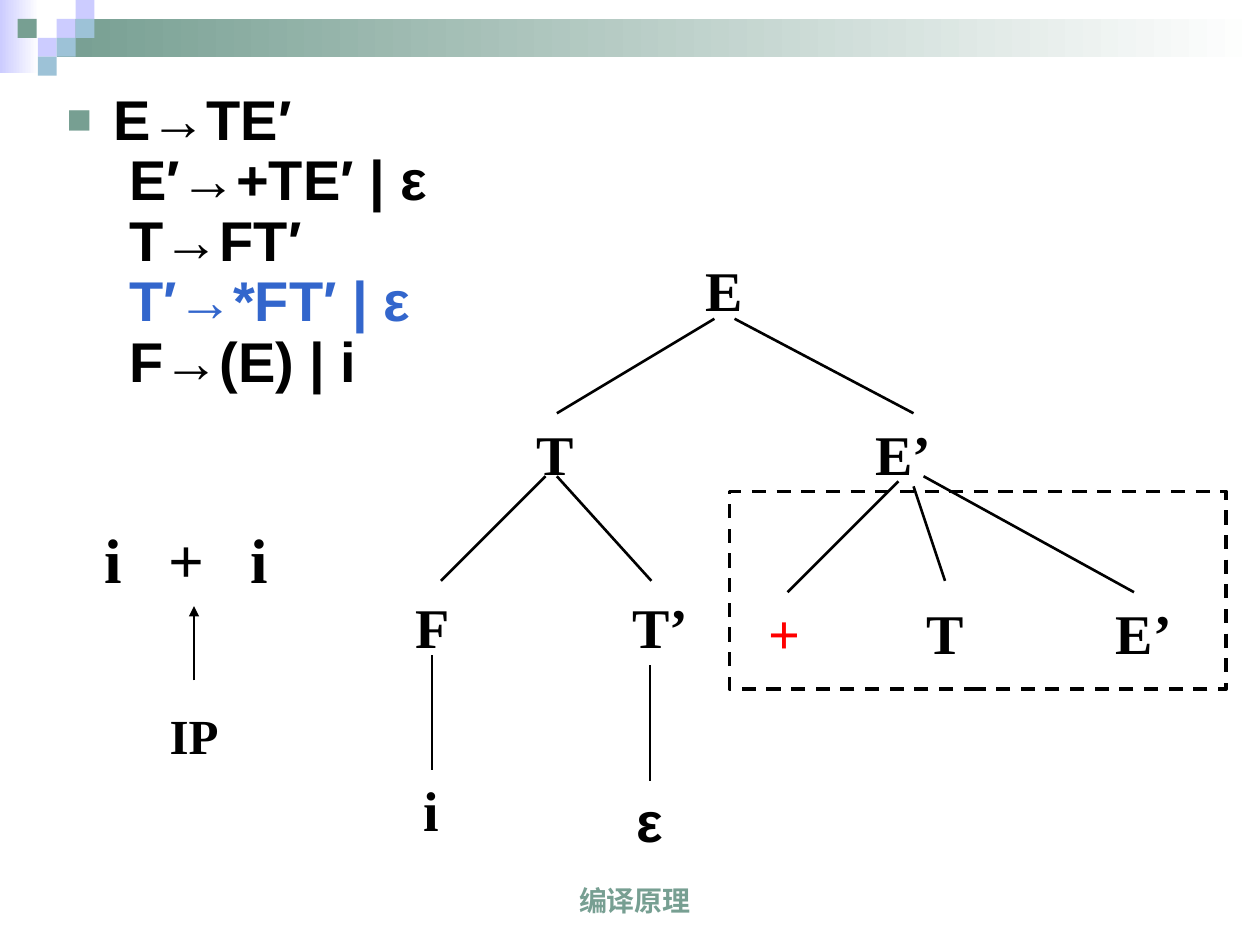
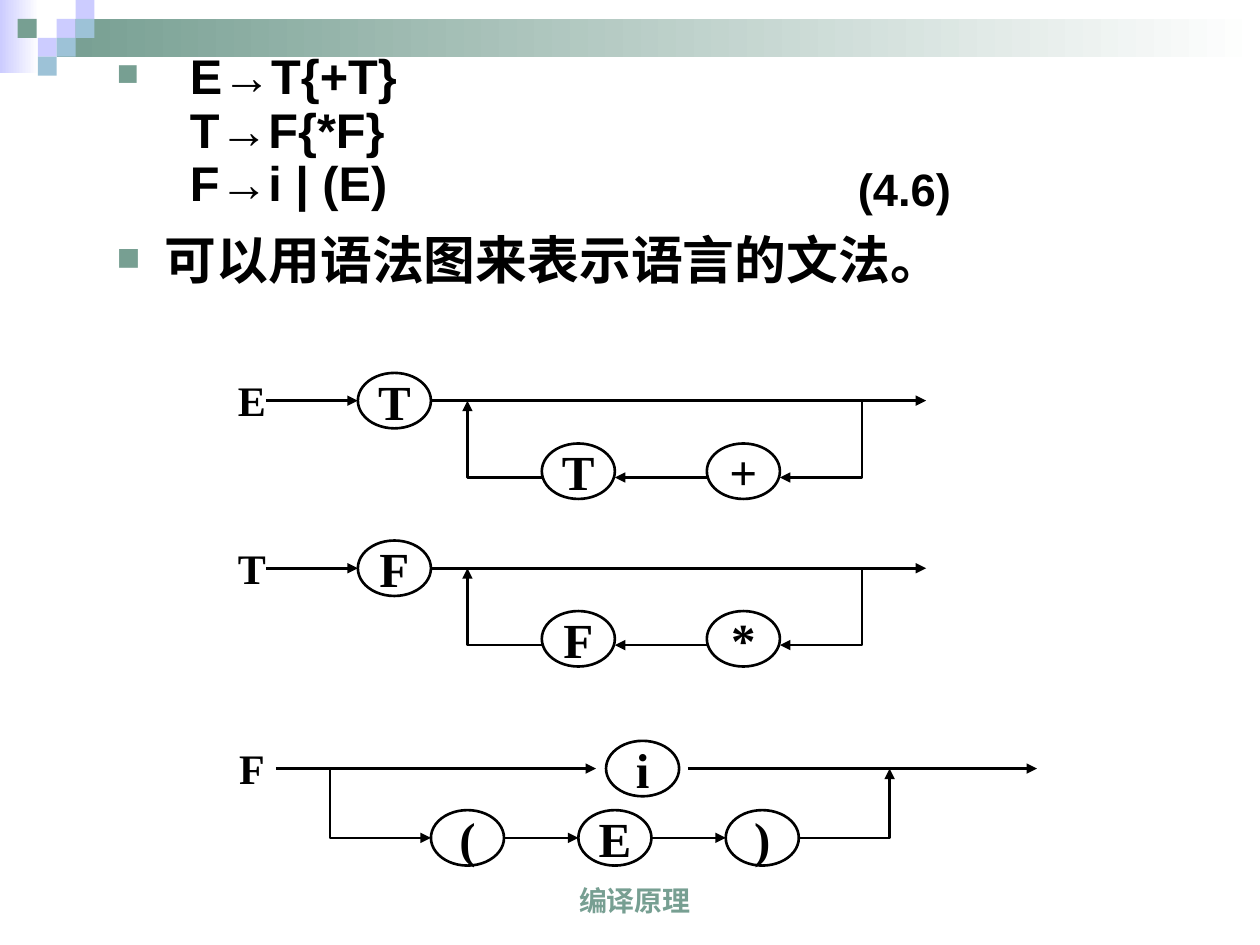
from dataclasses import dataclass

from lxml.etree import SubElement
from pptx import Presentation
from pptx.dml.color import RGBColor
from pptx.enum.dml import MSO_LINE
from pptx.enum.shapes import MSO_CONNECTOR, MSO_SHAPE
from pptx.enum.text import MSO_ANCHOR, PP_ALIGN
from pptx.oxml.ns import qn
from pptx.util import Inches, Pt


@dataclass(frozen=True)
class Theme:
    black: str = "000000"
    white: str = "FFFFFF"
    green: str = "779F92"
    lilac: str = "CCCCFF"
    sky: str = "9DC2D7"
    blue: str = "3366CC"
    red: str = "FF0000"
    sans: str = "Arial"
    serif: str = "Times New Roman"
    footer_size: float = 16
    label_size: float = 24
    symbol_size: float = 28
    node_size: float = 32
    input_size: float = 36
    rule_size: float = 27.8
    number_size: float = 25.9
    remark_size: float = 29.6
    line: float = 1.5
    frame_line: float = 2


THEME = Theme()

FOOTER = "编译原理"
BANDS = [((0, 0, 0.31, 0.58), THEME.lilac), ((0.45, 0.15, 9.55, 0.3), THEME.green)]
TILE = 0.15
TILES = [  # left, top, colour
    (0.45, 0.15, THEME.lilac), (0.6, 0, THEME.lilac), (0.6, 0.15, THEME.sky),
    (0.3, 0.3, THEME.lilac), (0.14, 0.15, THEME.green),
    (0.45, 0.3, THEME.sky), (0.3, 0.45, THEME.sky),
]

GRAMMAR = [  # text, format
    ("E→TE′", dict(bullet=True, margin=0.37, indent=-0.37)),
    ("E′→+TE′ | ε", {}),
    ("T→FT′", {}),
    ("T′→*FT′ | ε", dict(color=THEME.blue)),
    ("F→(E) | i", {}),
]
INPUT_TOKENS = ["i", "+", "i"]
INPUT_X, INPUT_STEP = 0.9, 0.58
TREE_NODES = [  # text, centre x, top, format
    ("E", 5.75, 1.98, {}),
    ("T", 4.41, 3.28, {}),
    ("E’", 7.17, 3.28, {}),
    ("F", 3.43, 4.65, {}),
    ("T’", 5.24, 4.65, {}),
    ("i", 3.42, 6.11, {}),
    ("ε", 5.16, 6.19, dict(font=THEME.sans)),
    ("+", 6.23, 4.7, dict(color=THEME.red)),
    ("T", 7.5, 4.7, {}),
    ("E’", 9.08, 4.7, {}),
]
TREE_EDGES = [
    [(5.67, 2.53), (4.42, 3.28)], [(5.83, 2.53), (7.25, 3.28)],
    [(4.33, 3.78), (3.5, 4.61)], [(4.42, 3.78), (5.17, 4.61)],
    [(3.43, 5.2), (3.43, 6.11)], [(5.16, 5.28), (5.16, 6.2)],
    [(7.13, 3.82), (6.25, 4.7)], [(7.25, 3.86), (7.5, 4.61)],
    [(7.33, 3.78), (9, 4.7)],
]
EXPANSION_FRAME = (5.79, 3.9, 3.94, 1.57)

EBNF = [  # text, format
    ("E→T{+T}", dict(bullet=True, margin=0.58, indent=-0.58)),
    ("T→F{*F}", dict(margin=0.58, before=7.5)),
    ("F→i | (E)", dict(margin=0.58, before=7)),
    ("可以用语法图来表示语言的文法。",
     dict(size=THEME.remark_size, bullet=True, margin=0.38, indent=-0.38, before=20)),
]
EQUATION_NUMBER = "(4.6)"
LOOPS = [("E", "T", "+", 3.18), ("T", "F", "*", 4.51)]  # name, operand, operator, y
CHOICE_Y = 6.1
BRACKETED = ["(", "E", ")"]
OVAL_WIDTH, OVAL_HEIGHT = 0.58, 0.44
LABEL_X, LABEL_WIDTH = 2, 1


def rgb(color):
    return RGBColor.from_string(color)


def write(para, text, font=THEME.serif, size=THEME.node_size, color=THEME.black,
          align=PP_ALIGN.LEFT, spacing=None, before=0, margin=0, indent=0, bullet=False):
    props = para._p.get_or_add_pPr()
    props.set("marL", str(Inches(margin)))
    props.set("indent", str(Inches(indent)))
    if bullet:
        SubElement(SubElement(props, qn("a:buClr")), qn("a:srgbClr"), val=THEME.green)
        SubElement(props, qn("a:buSzPct"), val="75000")
        SubElement(props, qn("a:buFont"), typeface=THEME.sans)
        SubElement(props, qn("a:buChar"), char="■")
    else:
        SubElement(props, qn("a:buNone"))
    para.alignment = align
    if spacing:
        para.line_spacing = spacing
    if before:
        para.space_before = Pt(before)
    span = para.add_run()
    span.text = text
    span.font.name, span.font.size, span.font.bold = font, Pt(size), True
    span.font.color.rgb = rgb(color)


def add_text(page, area, paragraphs, wrap=True, anchor=MSO_ANCHOR.TOP, **shared):
    """Add a text box; each paragraph is (text, format) on top of the shared format."""
    box = page.shapes.add_textbox(*map(Inches, area))
    frame = box.text_frame
    frame.word_wrap, frame.vertical_anchor = wrap, anchor
    for index, (text, own) in enumerate(paragraphs):
        para = frame.add_paragraph() if index else frame.paragraphs[0]
        write(para, text, **{**shared, **own})


def add_label(page, text, center, top, height=0.64, **style):
    area = (center - LABEL_WIDTH / 2, top, LABEL_WIDTH, height)
    add_text(page, area, [(text, {})], wrap=False, align=PP_ALIGN.CENTER, **style)


def add_shape(page, kind, area, fill=None, line=None):
    shape = page.shapes.add_shape(kind, *map(Inches, area))
    shape.shadow.inherit = False
    if fill:
        shape.fill.solid()
        shape.fill.fore_color.rgb = rgb(fill)
    else:
        shape.fill.background()
    if line:
        shape.line.color.rgb, shape.line.width = rgb(THEME.black), Pt(line)
    else:
        shape.line.fill.background()
    return shape


def add_path(page, points, arrow=True):
    """Draw a straight line, or an open outline when there are bends."""
    corners = [(Inches(x), Inches(y)) for x, y in points]
    if len(corners) == 2:
        shape = page.shapes.add_connector(MSO_CONNECTOR.STRAIGHT, *corners[0], *corners[1])
    else:
        builder = page.shapes.build_freeform(*corners[0])
        builder.add_line_segments(corners[1:], close=False)
        shape = builder.convert_to_shape()
        shape.fill.background()
    shape.line.color.rgb, shape.line.width = rgb(THEME.black), Pt(THEME.line)
    if arrow:
        SubElement(shape.line._get_or_add_ln(), qn("a:tailEnd"), type="triangle")
    SubElement(shape._element.spPr, qn("a:effectLst"))


def add_oval(page, text, center_x, center_y):
    area = (center_x - OVAL_WIDTH / 2, center_y - OVAL_HEIGHT / 2, OVAL_WIDTH, OVAL_HEIGHT)
    oval = add_shape(page, MSO_SHAPE.OVAL, area, line=THEME.line)
    oval.text_frame.word_wrap = False
    oval.text_frame.vertical_anchor = MSO_ANCHOR.MIDDLE
    write(oval.text_frame.paragraphs[0], text, size=THEME.symbol_size, align=PP_ALIGN.CENTER)


def add_page(deck):
    """Add a blank page with the shared bands, tiles and footer."""
    page = deck.slides.add_slide(deck.slide_layouts[6])
    for area, color in BANDS:
        band = add_shape(page, MSO_SHAPE.RECTANGLE, area, fill=color)
        band.fill.gradient()
        band.fill.gradient_angle = 0
        for stop, shade in zip(band.fill.gradient_stops, (color, THEME.white)):
            stop.color.rgb = rgb(shade)
    for left, top, color in TILES:
        add_shape(page, MSO_SHAPE.RECTANGLE, (left, top, TILE, TILE), fill=color)
    add_text(page, (3.11, 6.83, 3.86, 0.5), [(FOOTER, {})], anchor=MSO_ANCHOR.BOTTOM,
             font=THEME.sans, size=THEME.footer_size, color=THEME.green,
             align=PP_ALIGN.CENTER)
    return page


def add_name(page, text, y):
    add_label(page, text, LABEL_X, y - 0.17, height=0.33, size=THEME.label_size,
              anchor=MSO_ANCHOR.MIDDLE)


def add_loop(page, name, operand, operator, y):
    """Draw the syntax diagram of an operand repeated after an operator."""
    first, repeat, sign = 3.13, 4.59, 5.9
    back, half = y + 0.61, OVAL_WIDTH / 2
    add_name(page, name, y)
    add_oval(page, operand, first, y)
    add_oval(page, operand, repeat, y + 0.56)
    add_oval(page, operator, sign, y + 0.56)
    add_path(page, [(2.11, y), (first - half, y)])
    add_path(page, [(first + half, y), (7.35, y)])
    add_path(page, [(6.84, y), (6.84, back), (sign + half, back)])
    add_path(page, [(sign - half, back), (repeat + half, back)])
    add_path(page, [(repeat - half, back), (3.71, back), (3.71, y)])


def add_choice(page, y):
    """Draw the syntax diagram of F: i, or E in brackets."""
    lower, half = y + 0.55, OVAL_WIDTH / 2
    centers = [3.71 + 1.17 * index for index in range(len(BRACKETED))]
    add_name(page, "F", y)
    add_oval(page, "i", 5.1, y)
    for text, center in zip(BRACKETED, centers):
        add_oval(page, text, center, lower)
    for left, right in zip(centers, centers[1:]):
        add_path(page, [(left + half, lower), (right - half, lower)])
    add_path(page, [(2.19, y), (4.73, y)])
    add_path(page, [(5.46, y), (8.23, y)])
    add_path(page, [(2.62, y), (2.62, lower), (centers[0] - half, lower)])
    add_path(page, [(centers[-1] + half, lower), (7.06, lower), (7.06, y)])


def build_tree_page(deck):
    page = add_page(deck)
    for index, token in enumerate(INPUT_TOKENS):
        add_label(page, token, INPUT_X + index * INPUT_STEP, 4.08, height=0.7,
                  size=THEME.input_size)
    add_path(page, [(1.54, 5.4), (1.54, 4.81)])
    add_label(page, "IP", 1.54, 5.55, height=0.57, size=THEME.symbol_size)
    for points in TREE_EDGES:
        add_path(page, points, arrow=False)
    for text, center, top, style in TREE_NODES:
        add_label(page, text, center, top, **style)
    frame = add_shape(page, MSO_SHAPE.RECTANGLE, EXPANSION_FRAME, line=THEME.frame_line)
    frame.line.dash_style = MSO_LINE.DASH
    add_text(page, (0.43, 0.68, 4.43, 2.98), GRAMMAR, font=THEME.sans,
             spacing=0.9, margin=0.5)


def build_diagram_page(deck):
    page = add_page(deck)
    add_text(page, (0.83, 0.44, 8.67, 2), EBNF, font=THEME.sans,
             size=THEME.rule_size, spacing=0.7)
    add_text(page, (6.71, 1.23, 1.2, 0.5), [(EQUATION_NUMBER, {})], font=THEME.sans,
             size=THEME.number_size)
    for loop in LOOPS:
        add_loop(page, *loop)
    add_choice(page, CHOICE_Y)


def main():
    deck = Presentation()
    deck.slide_width, deck.slide_height = Inches(10), Inches(7.5)
    build_tree_page(deck)
    build_diagram_page(deck)
    deck.save("out.pptx")


if __name__ == "__main__":
    main()
